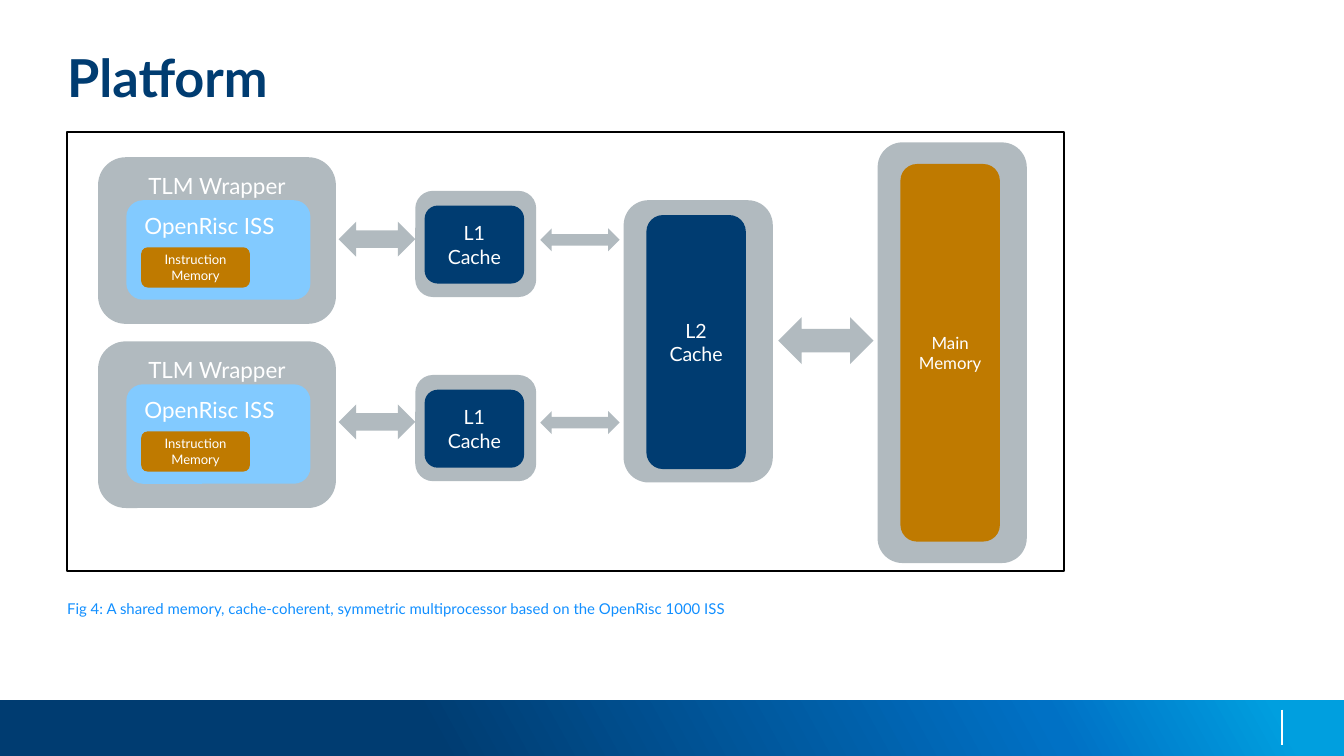
from lxml import etree
from pptx import Presentation, util as u
from pptx.dml.color import RGBColor
from pptx.enum import shapes, text
from pptx.oxml import ns

HUE = {"navy": "003C71", "blue": "0071C5", "cyan": "009FDF", "sky": "82CAFF",
       "link": "118FFF", "gray": "B1BABF", "gold": "BF7A00",
       "white": "FFFFFF", "black": "000000"}
KIND = shapes.MSO_SHAPE
ROUND, ARROW = KIND.ROUNDED_RECTANGLE, KIND.LEFT_RIGHT_ARROW
MID, TOP = text.MSO_ANCHOR.MIDDLE, text.MSO_ANCHOR.TOP
LEFT, MIDDLE = text.PP_ALIGN.LEFT, text.PP_ALIGN.CENTER


def label(frame, words, size, hue="white", align=LEFT, anchor=TOP, bold=False):
    frame.text = words
    frame.vertical_anchor = anchor
    para = frame.paragraphs[0]
    para.alignment = align
    font = para.runs[0].font
    font.name, font.size, font.bold = "Lato", u.Pt(size), bold
    font.color.rgb = RGBColor.from_string(HUE[hue])


def block(home, kind, x, y, w, h, hue):
    item = home.add_shape(kind, u.Inches(x), u.Inches(y), u.Inches(w), u.Inches(h))
    item.shadow.inherit = False
    item.fill.solid()
    item.fill.fore_color.rgb = RGBColor.from_string(HUE[hue])
    item.line.fill.background()
    return item


deck = Presentation()
deck.slide_width = u.Inches(10)
deck.slide_height = u.Inches(10 * 9 / 16)
slide = deck.slides.add_slide(deck.slide_layouts[5])

bar = block(slide.shapes, KIND.RECTANGLE, 0, 5.21, 10, 0.42, "navy")
bar.fill.gradient()
grad = bar.fill._fill._gradFill
stops = grad.find(ns.qn("a:gsLst"))
for stop in list(stops):
    stops.remove(stop)
for pos, hue in [(32, "navy"), (78, "blue"), (95, "cyan")]:
    stop = etree.SubElement(stops, ns.qn("a:gs"), pos=str(pos * 1000))
    etree.SubElement(stop, ns.qn("a:srgbClr"), val=HUE[hue])
grad.find(ns.qn("a:lin")).set("ang", str(331 * 60000))

tick = slide.shapes.add_connector(
    shapes.MSO_CONNECTOR.STRAIGHT,
    u.Inches(9.54), u.Inches(5.28), u.Inches(9.54), u.Inches(5.54))
tick.line.color.rgb = RGBColor.from_string(HUE["white"])
tick.line.width = u.Pt(0.75)
etree.SubElement(tick._element.spPr, ns.qn("a:effectLst"))

group = slide.shapes.add_group_shape().shapes
frame = block(group, KIND.RECTANGLE, 0.5, 0.98, 7.42, 3.27, "white")
frame.line.color.rgb = RGBColor.from_string(HUE["black"])
frame.line.width = u.Pt(1)

block(group, ROUND, 6.53, 1.06, 1.11, 3.13, "gray")
main = block(group, ROUND, 6.7, 1.22, 0.74, 2.81, "gold")
label(main.text_frame, "Main Memory", 9, align=MIDDLE, anchor=MID)
block(group, ROUND, 4.64, 1.49, 1.11, 2.1, "gray")
cache = block(group, ROUND, 4.81, 1.6, 0.74, 1.89, "navy")
label(cache.text_frame, "L2 Cache", 10.5, align=MIDDLE, anchor=MID)
block(group, ARROW, 5.79, 2.36, 0.71, 0.35, "gray")

for top in (1.17, 2.54):
    wrap = block(group, ROUND, 0.73, top, 1.77, 1.24, "gray")
    label(wrap.text_frame, "TLM Wrapper", 12, align=MIDDLE)
    core = block(group, ROUND, 0.94, top + 0.32, 1.37, 0.74, "sky")
    label(core.text_frame, "OpenRisc ISS", 12)
    code = block(group, ROUND, 1.05, top + 0.67, 0.81, 0.3, "gold")
    label(code.text_frame, "Instruction Memory", 7, align=MIDDLE, anchor=MID)
    block(group, ROUND, 3.09, top + 0.25, 0.9, 0.79, "gray")
    cache = block(group, ROUND, 3.16, top + 0.36, 0.74, 0.58, "navy")
    label(cache.text_frame, "L1 Cache", 10.5, align=MIDDLE, anchor=MID)

for y in (1.78, 3.14):
    block(group, ARROW, 2.52, y - 0.13, 0.57, 0.26, "gray")
    block(group, ARROW, 4.02, y - 0.08, 0.59, 0.17, "gray")

title = slide.shapes.title
title.left, title.top = u.Inches(0.5), u.Inches(0.34)
title.width, title.height = u.Inches(9), u.Inches(0.95)
label(title.text_frame, "Platform", 28, "navy", bold=True)
title.text_frame.auto_size = text.MSO_AUTO_SIZE.NONE

note = slide.shapes.add_textbox(u.Inches(0.5), u.Inches(4.46), u.Inches(5.1), u.Inches(0.32))
label(note.text_frame, "Fig 4: A shared memory, cache-coherent, symmetric "
      "multiprocessor based on the OpenRisc 1000 ISS", 8, "link")
note.text_frame.word_wrap = False

for area in (title.text_frame, note.text_frame):
    area.margin_left = area.margin_right = 0
    area.margin_top = area.margin_bottom = 0

deck.save("out.pptx")
